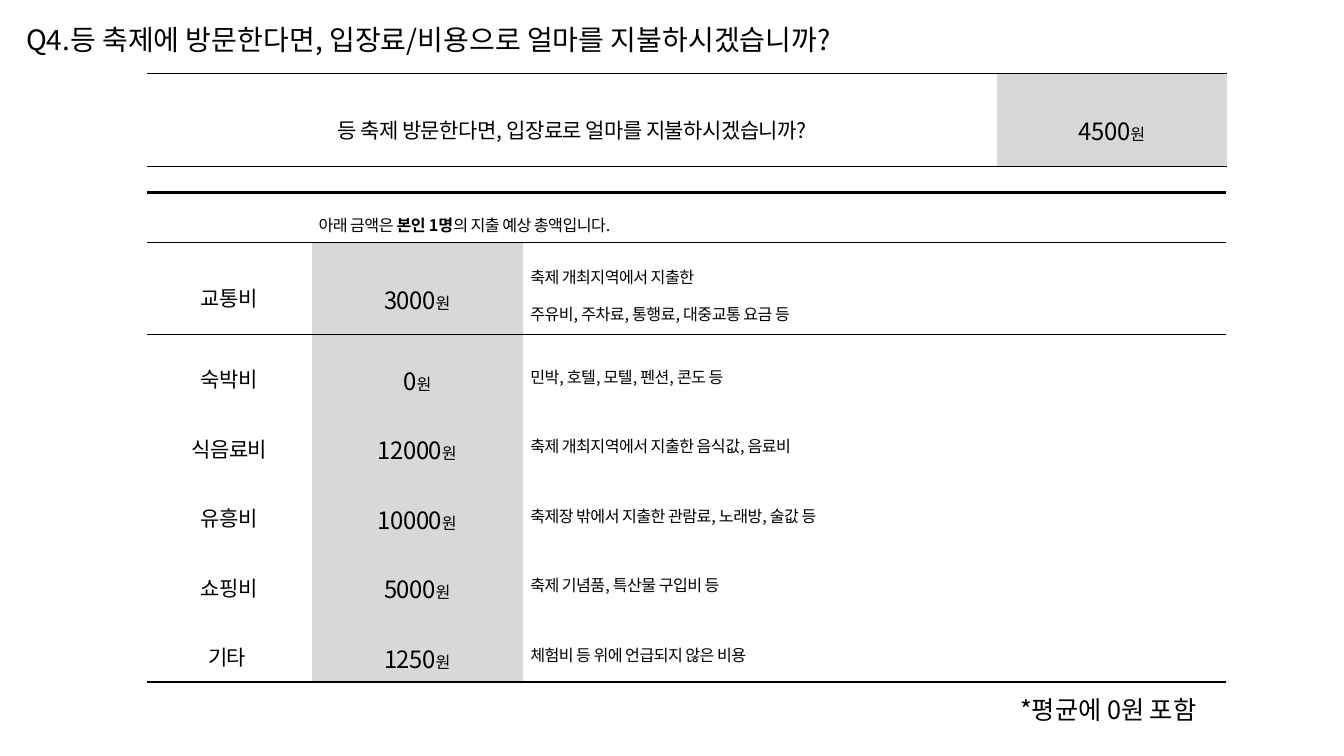
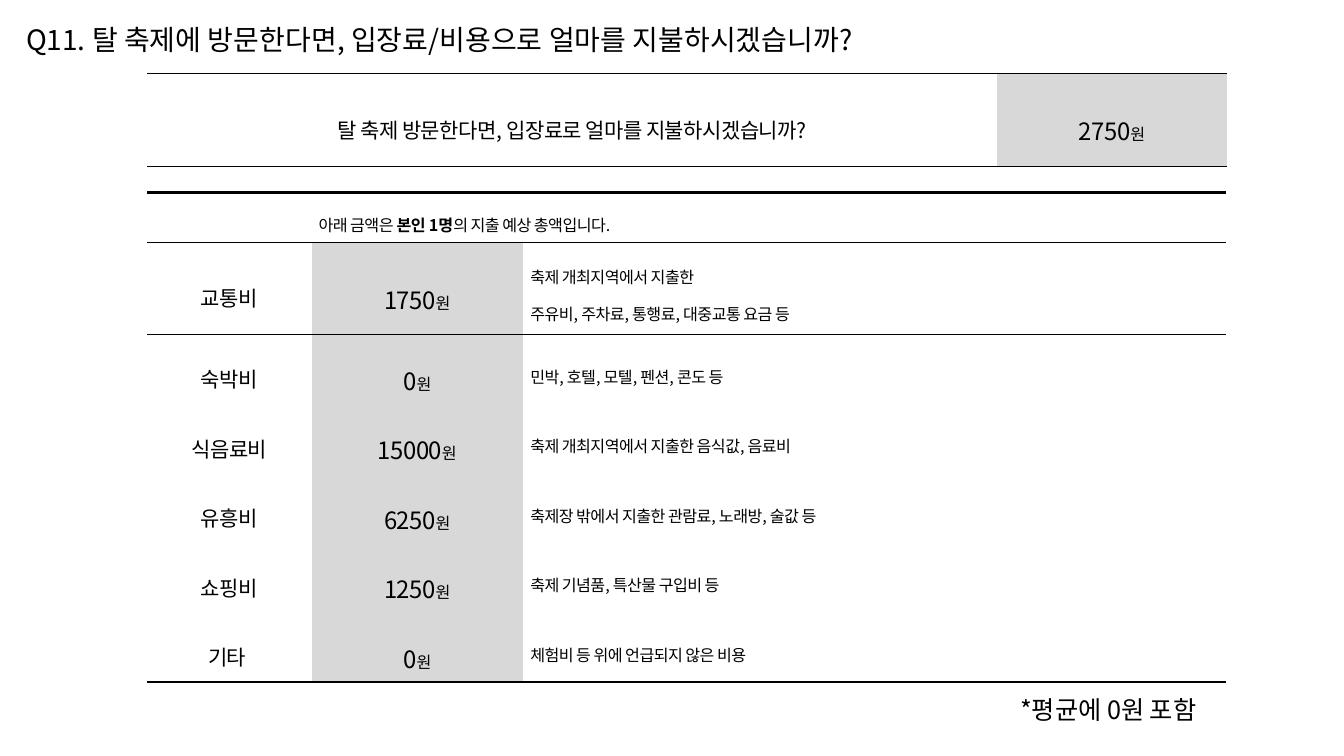
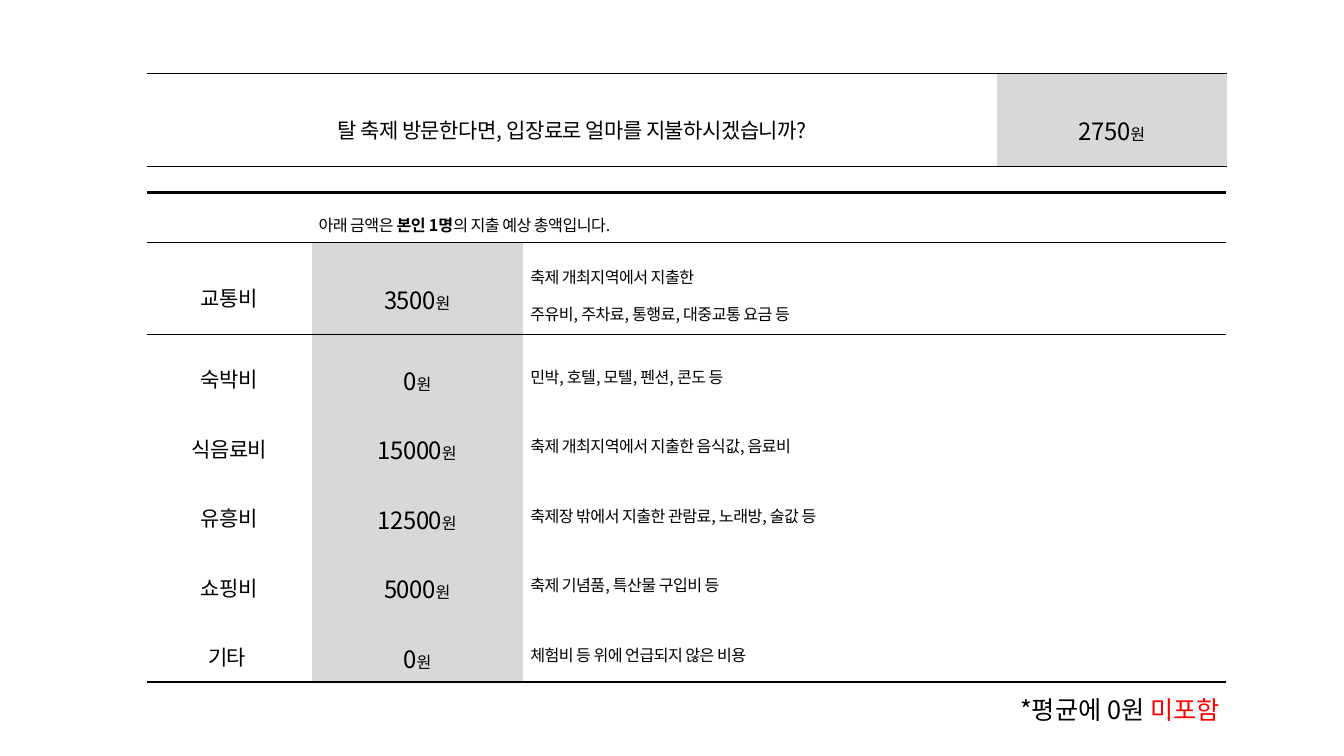
from dataclasses import dataclass

from lxml import etree
from pptx import Presentation
from pptx.dml.color import RGBColor
from pptx.enum import text
from pptx.oxml import ns
from pptx.util import Inches, Pt


@dataclass(frozen=True)
class Theme:
    font: str = "Noto Sans CJK KR"
    ink: RGBColor = RGBColor(0x00, 0x00, 0x00)
    accent: RGBColor = RGBColor(0xFF, 0x00, 0x00)
    answer_fill: RGBColor = RGBColor(0xD8, 0xD8, 0xD8)
    title_size: float = 20
    note_size: float = 18
    amount_size: float = 17
    label_size: float = 15
    detail_size: float = 11.5
    tracking: float = -0.4
    line_spacing: float = 1.6
    thick: float = 1.7
    medium: float = 1
    thin: float = 0.28


THEME = Theme()
PLAIN_TABLE = "{2D5ABB26-0587-4C30-8999-92F81FD0307C}"
CENTER = text.PP_ALIGN.CENTER
JUSTIFY = text.PP_ALIGN.JUSTIFY

TABLE_LEFT = 1.46
FEE_COLUMNS = [8.43, 2.28]
EXPENSE_COLUMNS = [1.63, 2.1, 6.97]
EXPENSE_ROWS = [0.49, 0.92] + [0.69] * 5

EXPENSES = [
    ("교통비", ["축제 개최지역에서 지출한", "주유비, 주차료, 통행료, 대중교통 요금 등"]),
    ("숙박비", ["민박, 호텔, 모텔, 펜션, 콘도 등"]),
    ("식음료비", ["축제 개최지역에서 지출한 음식값, 음료비"]),
    ("유흥비", ["축제장 밖에서 지출한 관람료, 노래방, 술값 등"]),
    ("쇼핑비", ["축제 기념품, 특산물 구입비 등"]),
    ("기타 ", ["체험비 등 위에 언급되지 않은 비용"]),
]


@dataclass(frozen=True)
class Survey:
    festival: str
    fee: int
    amounts: list
    title: str = ""
    zero_included: bool = True


SURVEYS = [
    Survey("등", 4500, [3000, 0, 12000, 10000, 5000, 1250],
           "Q4.등 축제에 방문한다면, 입장료/비용으로 얼마를 지불하시겠습니까?"),
    Survey("탈", 2750, [1750, 0, 15000, 6250, 1250, 0],
           "Q11. 탈 축제에 방문한다면, 입장료/비용으로 얼마를 지불하시겠습니까?"),
    Survey("탈", 2750, [3500, 0, 15000, 12500, 5000, 0], zero_included=False),
]


def set_font(para, size):
    """Give the paragraph its font, for Latin and Korean letters alike."""
    font = para.font
    font.size = Pt(size)
    font.color.rgb = THEME.ink
    font.name = THEME.font
    etree.SubElement(font._element, ns.qn("a:ea"), typeface=THEME.font)


def add_span(para, words):
    span = para.add_run()
    span.text = words
    return span


def add_text(slide, left, top, width, words, size):
    box = slide.shapes.add_textbox(Inches(left), Inches(top), Inches(width), Inches(0.4))
    box.text_frame.word_wrap = True
    box.text_frame.auto_size = text.MSO_AUTO_SIZE.SHAPE_TO_FIT_TEXT
    para = box.text_frame.paragraphs[0]
    set_font(para, size)
    add_span(para, words)
    return para


def add_plain_table(slide, top, columns, rows):
    frame = slide.shapes.add_table(len(rows), len(columns), Inches(TABLE_LEFT), Inches(top),
                                   Inches(sum(columns)), Inches(sum(rows)))
    table = frame.table
    table.first_row = table.horz_banding = False
    table._tbl.tblPr.find(ns.qn("a:tableStyleId")).text = PLAIN_TABLE
    for column, width in zip(table.columns, columns):
        column.width = Inches(width)
    for row, height in zip(table.rows, rows):
        row.height = Inches(height)
    for cell in table.iter_cells():
        cell.vertical_anchor = text.MSO_ANCHOR.MIDDLE
        cell.margin_left = cell.margin_right = Inches(0.07)
        cell.margin_top = cell.margin_bottom = Inches(0.02)
        cell.fill.background()
    return table


def rule_row(row, top=None, bottom=None):
    """Draw rules, with widths in points, above and below a table row."""
    for cell in row.cells:
        props = cell._tc.get_or_add_tcPr()
        sides = [(tag, width) for tag, width in (("a:lnT", top), ("a:lnB", bottom)) if width]
        for place, (tag, width) in enumerate(sides):
            line = etree.Element(ns.qn(tag), w=str(Pt(width)))
            fill = etree.SubElement(line, ns.qn("a:solidFill"))
            etree.SubElement(fill, ns.qn("a:srgbClr"), val=str(THEME.ink))
            props.insert(place, line)


def fill_cell(cell, lines, size, align):
    """Write lines into a cell; each line is a list of (words, font settings)."""
    for number, spans in enumerate(lines):
        frame = cell.text_frame
        para = frame.add_paragraph() if number else frame.paragraphs[0]
        para.alignment = align
        para.line_spacing = THEME.line_spacing
        set_font(para, size)
        for words, settings in spans:
            font = add_span(para, words).font
            font._element.set("spc", str(round(THEME.tracking * 100)))
            for name, value in settings.items():
                setattr(font, name, value)


def fill_label(cell, words):
    fill_cell(cell, [[(words, {})]], THEME.label_size, CENTER)


def fill_amount(cell, amount):
    spans = [(str(amount), {}), ("원", {"size": Pt(THEME.detail_size)})]
    fill_cell(cell, [spans], THEME.amount_size, CENTER)
    cell.fill.solid()
    cell.fill.fore_color.rgb = THEME.answer_fill


def add_expense_table(slide, amounts):
    table = add_plain_table(slide, 1.91, EXPENSE_COLUMNS, EXPENSE_ROWS)
    rows = list(table.rows)
    rule_row(rows[0], top=THEME.thick, bottom=THEME.thin)
    rule_row(rows[1], top=THEME.thin)
    rule_row(rows[-1], bottom=THEME.thick)
    table.cell(0, 1).merge(table.cell(0, 2))
    heading = [("아래 금액은 ", {}), ("본인 1명", {"bold": True}), ("의 지출 예상 총액입니다. ", {})]
    fill_cell(table.cell(0, 1), [heading], THEME.detail_size, JUSTIFY)
    for row, (label, details), amount in zip(rows[1:], EXPENSES, amounts):
        label_cell, amount_cell, detail_cell = row.cells
        fill_label(label_cell, label)
        fill_amount(amount_cell, amount)
        fill_cell(detail_cell, [[(line, {})] for line in details], THEME.detail_size, JUSTIFY)


def add_fee_table(slide, festival, fee):
    table = add_plain_table(slide, 0.73, FEE_COLUMNS, [0.92])
    rule_row(table.rows[0], top=THEME.medium, bottom=THEME.medium)
    fill_label(table.cell(0, 0), f"{festival} 축제 방문한다면, 입장료로 얼마를 지불하시겠습니까?")
    fill_amount(table.cell(0, 1), fee)


def add_average_note(slide, zero_included):
    left, top = 10.02, 6.84
    if zero_included:
        add_text(slide, left, top, 2.14, "*평균에 0원 포함", THEME.note_size)
    else:
        para = add_text(slide, left, top, 2.45, "*평균에 0원 ", THEME.note_size)
        add_span(para, "미포함").font.color.rgb = THEME.accent


def add_survey_slide(deck, survey):
    slide = deck.slides.add_slide(deck.slide_layouts[6])
    add_expense_table(slide, survey.amounts)
    add_fee_table(slide, survey.festival, survey.fee)
    add_average_note(slide, survey.zero_included)
    if survey.title:
        add_text(slide, 0.16, 0.17, 9.25, survey.title, THEME.title_size)


def main():
    deck = Presentation()
    deck.slide_width, deck.slide_height = Inches(13.33), Inches(7.5)
    for survey in SURVEYS:
        add_survey_slide(deck, survey)
    deck.save("out.pptx")


if __name__ == "__main__":
    main()
